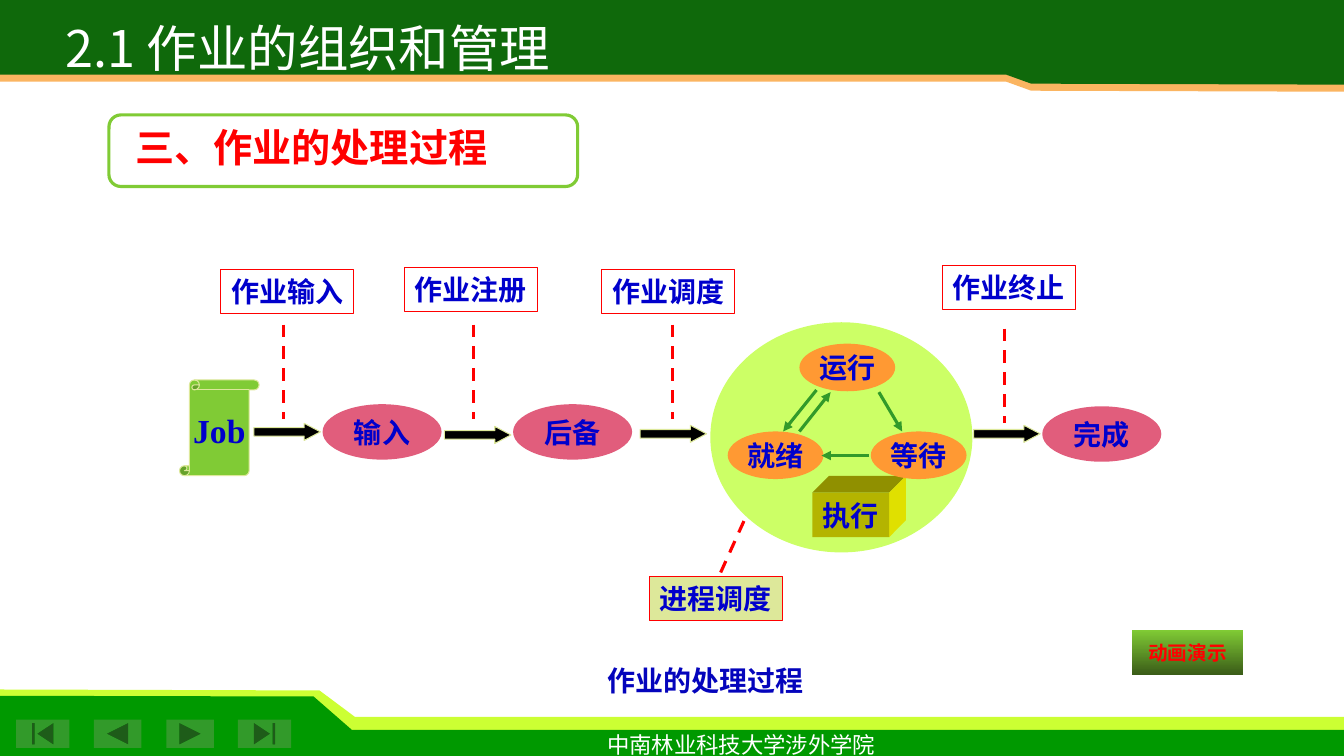
from lxml.etree import SubElement
from pptx import Presentation
from pptx.dml.color import RGBColor
from pptx.enum.dml import MSO_LINE
from pptx.enum.shapes import MSO_CONNECTOR, MSO_SHAPE
from pptx.enum.text import MSO_ANCHOR, PP_ALIGN
from pptx.oxml.ns import qn
from pptx.util import Pt

COLORS = {
    "header": "0F690B", "orange": "FBB561", "lime": "CCFF33", "footer": "009900",
    "button": "329A2A", "leaf": "80CB35", "moss": "3B5D18", "pale": "DDE89A",
    "circle": "CCFF66", "pink": "E15D7C", "state": "FF9933", "black": "000000",
    "front": "B4B400", "top": "909000", "side": "E0E000",
    "red": "FF0000", "blue": "0000CC", "caption": "0404BC", "white": "FFFFFF",
}
SERIF = "Times New Roman"
CJK = "Noto Sans CJK SC"


def rgb(name):
    """Return the named palette colour."""
    return RGBColor.from_string(COLORS[name])


def write(shape, text, size, color, bold=True, font=SERIF, align=PP_ALIGN.CENTER):
    """Set one line of formatted text, centred vertically in its shape."""
    frame = shape.text_frame
    frame.text = text
    frame.word_wrap = False
    frame.vertical_anchor = MSO_ANCHOR.MIDDLE
    frame.margin_left = frame.margin_right = 0
    frame.margin_top = frame.margin_bottom = 0
    paragraph = frame.paragraphs[0]
    paragraph.alignment = align
    run = paragraph.runs[0]
    run.font.size = Pt(size)
    run.font.bold = bold
    run.font.name = font
    run.font.color.rgb = rgb(color)
    SubElement(run.font._element, qn("a:ea"), typeface=CJK)


def paint(shape, fill=None, line=None, width=0.75):
    """Set the fill and outline of a shape and drop its shadow."""
    shape.shadow.inherit = False
    if fill:
        shape.fill.solid()
        shape.fill.fore_color.rgb = rgb(fill)
    else:
        shape.fill.background()
    if line:
        shape.line.color.rgb = rgb(line)
        shape.line.width = Pt(width)
    else:
        shape.line.fill.background()


def add_preset(slide, kind, box, fill=None, line=None, width=0.75):
    """Add a painted preset shape."""
    shape = slide.shapes.add_shape(kind, *map(Pt, box))
    paint(shape, fill, line, width)
    return shape


def add_outline(slide, points, fill):
    """Add a filled polygon."""
    corners = [(Pt(x), Pt(y)) for x, y in points]
    builder = slide.shapes.build_freeform(*corners[0])
    builder.add_line_segments(corners[1:], close=True)
    paint(builder.convert_to_shape(), fill)


def add_text(slide, box, text, size, color, **style):
    """Add a text box with one line."""
    write(slide.shapes.add_textbox(*map(Pt, box)), text, size, color, **style)


def add_line(slide, start, end, color, dashed=False):
    """Add a dashed line, or a solid one with an arrowhead."""
    line = slide.shapes.add_connector(MSO_CONNECTOR.STRAIGHT, *map(Pt, start + end))
    line.line.color.rgb = rgb(color)
    line.line.width = Pt(2.25)
    if dashed:
        line.line.dash_style = MSO_LINE.DASH
    else:
        SubElement(line.line._get_or_add_ln(), qn("a:tailEnd"), type="triangle")
    SubElement(line._element.spPr, qn("a:effectLst"))


def add_label(slide, left, top, text, fill=None):
    """Add a red-framed step label."""
    label = add_preset(slide, MSO_SHAPE.RECTANGLE, (left, top, 95, 31.7), fill, "red")
    write(label, text, 20, "blue")


def add_oval(slide, box, text, fill):
    """Add a labelled ellipse."""
    write(add_preset(slide, MSO_SHAPE.OVAL, box, fill), text, 20, "blue")


def add_flow_arrow(slide, left, top):
    """Add a black block arrow between two stages."""
    arrow = add_preset(slide, MSO_SHAPE.RIGHT_ARROW, (left, top, 47.5, 12.2), "black", "pale")
    arrow.adjustments[1] = 0.95


def add_cube(slide, left, top, width, height, depth, text):
    """Add a box with a labelled front, a top and a side face."""
    right, bottom = left + width, top + height
    back = (right + depth, top - depth)
    add_outline(slide, [(left, top), (left + depth, top - depth), back, (right, top)], "top")
    add_outline(slide, [(right, top), back, (right + depth, bottom - depth), (right, bottom)], "side")
    front = add_preset(slide, MSO_SHAPE.RECTANGLE, (left, top, width, height), "front")
    write(front, text, 20, "blue")


def add_frame(slide):
    """Draw the header, footer and navigation buttons."""
    add_outline(slide, [(0, 492.5), (228.2, 493.2), (253.4, 512), (960, 512),
                        (960, 532), (0, 532)], "lime")
    add_outline(slide, [(0, 497), (224, 497.5), (251.3, 521.3), (960, 521.3),
                        (960, 540), (0, 540)], "footer")
    for drop, color in ((5, "orange"), (0, "header")):
        add_outline(slide, [(0, 0), (0, 53.3 + drop), (718.6, 53.3 + drop),
                            (736.6, 59.8 + drop), (960, 60.5 + drop), (960, 0)], color)
    for kind, left, width in (
        (MSO_SHAPE.ACTION_BUTTON_BEGINNING, 11.5, 38),
        (MSO_SHAPE.ACTION_BUTTON_BACK_OR_PREVIOUS, 67, 34),
        (MSO_SHAPE.ACTION_BUTTON_FORWARD_OR_NEXT, 118.8, 34),
        (MSO_SHAPE.ACTION_BUTTON_END, 170, 38),
    ):
        add_preset(slide, kind, (left, 514, width, 20.2), "button")
    add_text(slide, (425.5, 518.4, 208, 26.6), "中南林业科技大学涉外学院", 16, "white", bold=False)


def add_process_circle(slide):
    """Draw the execution stage with its three process states."""
    add_preset(slide, MSO_SHAPE.OVAL, (507.4, 230.2, 187.2, 164.4), "circle")
    add_cube(slide, 580.2, 352, 54.9, 31.7, 12, "执行")
    for left, top, text in ((571, 245.5, "运行"), (519.8, 308.2, "就绪"), (622, 308.2, "等待")):
        add_oval(slide, (left, top, 68.4, 34), text, "state")
    for start, end in (
        ((583.2, 278.6), (559.4, 308.2)),
        ((571, 308.2), (593.3, 280.1)),
        ((627.8, 280.1), (644.4, 308.2)),
        ((620.6, 325.4), (586.8, 325.4)),
    ):
        add_line(slide, start, end, "button")


def add_flow(slide):
    """Draw the stages of a job and the steps between them."""
    scroll = add_preset(slide, MSO_SHAPE.VERTICAL_SCROLL, (128.2, 271.4, 56.9, 68.4), "leaf", "pale")
    write(scroll, "Job", 24, "blue")
    for left, top, text in ((230.4, 288.7, "输入"), (366.5, 288.7, "后备"), (744.5, 290.2, "完成")):
        add_oval(slide, (left, top, 85, 39.6), text, "pink")
    for left, top in ((181.4, 302.4), (317.5, 304.6), (457.2, 303.8), (695.5, 303.8)):
        add_flow_arrow(slide, left, top)
    for left, top, text, x, y in (
        (157.7, 192.2, "作业输入", 202.3, 231.8),
        (288.7, 190.8, "作业注册", 338.4, 231.8),
        (429.8, 192.2, "作业调度", 480.2, 231.8),
        (673.2, 189.4, "作业终止", 717.8, 234.7),
    ):
        add_label(slide, left, top, text)
        add_line(slide, (x, y), (x, y + 67.7), "red", dashed=True)
    add_label(slide, 463.7, 411.8, "进程调度", "pale")
    add_line(slide, (531.4, 372.2), (514.1, 410.4), "red", dashed=True)


def add_demo_button(slide):
    """Add the gradient button for the animation."""
    button = add_preset(slide, MSO_SHAPE.ACTION_BUTTON_CUSTOM, (808.6, 450, 79.2, 31.7), "leaf")
    button.fill.gradient()
    button.fill.gradient_angle = 270
    for stop, color in zip(button.fill.gradient_stops, ("leaf", "moss")):
        stop.color.rgb = rgb(color)
    write(button, "动画演示", 14, "red")


def add_title(slide, text):
    """Place the title in front of the header."""
    title = slide.shapes.title
    title.left, title.top, title.width, title.height = map(Pt, (37.4, 9, 355.6, 50))
    write(title, text, 36, "white", bold=False, font=CJK, align=PP_ALIGN.RIGHT)
    title.element.getparent().append(title.element)


def main():
    """Build the slide and save it."""
    presentation = Presentation()
    presentation.slide_width, presentation.slide_height = Pt(960), Pt(540)
    slide = presentation.slides.add_slide(presentation.slide_layouts[5])
    add_frame(slide)
    add_process_circle(slide)
    add_flow(slide)
    add_preset(slide, MSO_SHAPE.ROUNDED_RECTANGLE, (77.8, 82.1, 334.8, 51.1), "white", "leaf", 2.25)
    add_text(slide, (96.5, 84.2, 314, 41), "三、作业的处理过程", 28, "red",
             font="Arial", align=PP_ALIGN.LEFT)
    add_text(slide, (425.5, 470.2, 157, 31.7), "作业的处理过程", 20, "caption")
    add_demo_button(slide)
    add_title(slide, "2.1 作业的组织和管理")
    presentation.save("out.pptx")


if __name__ == "__main__":
    main()
